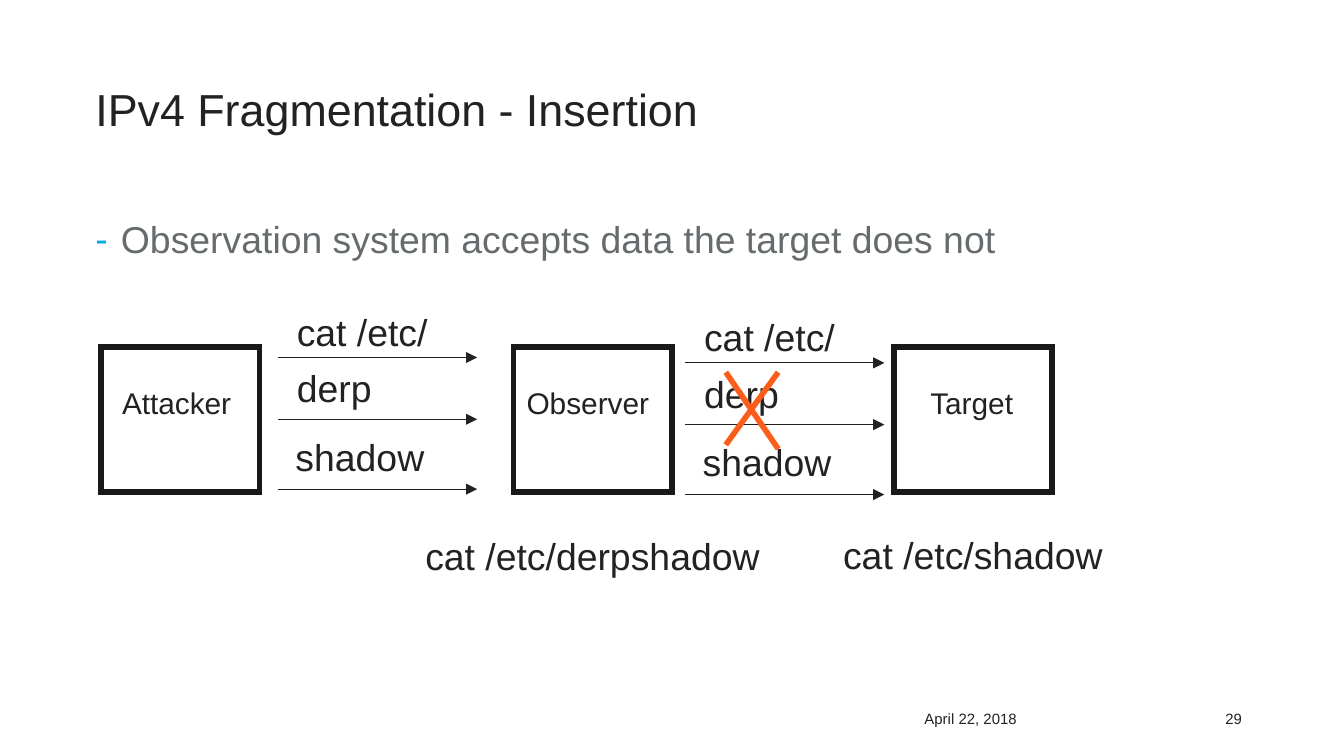
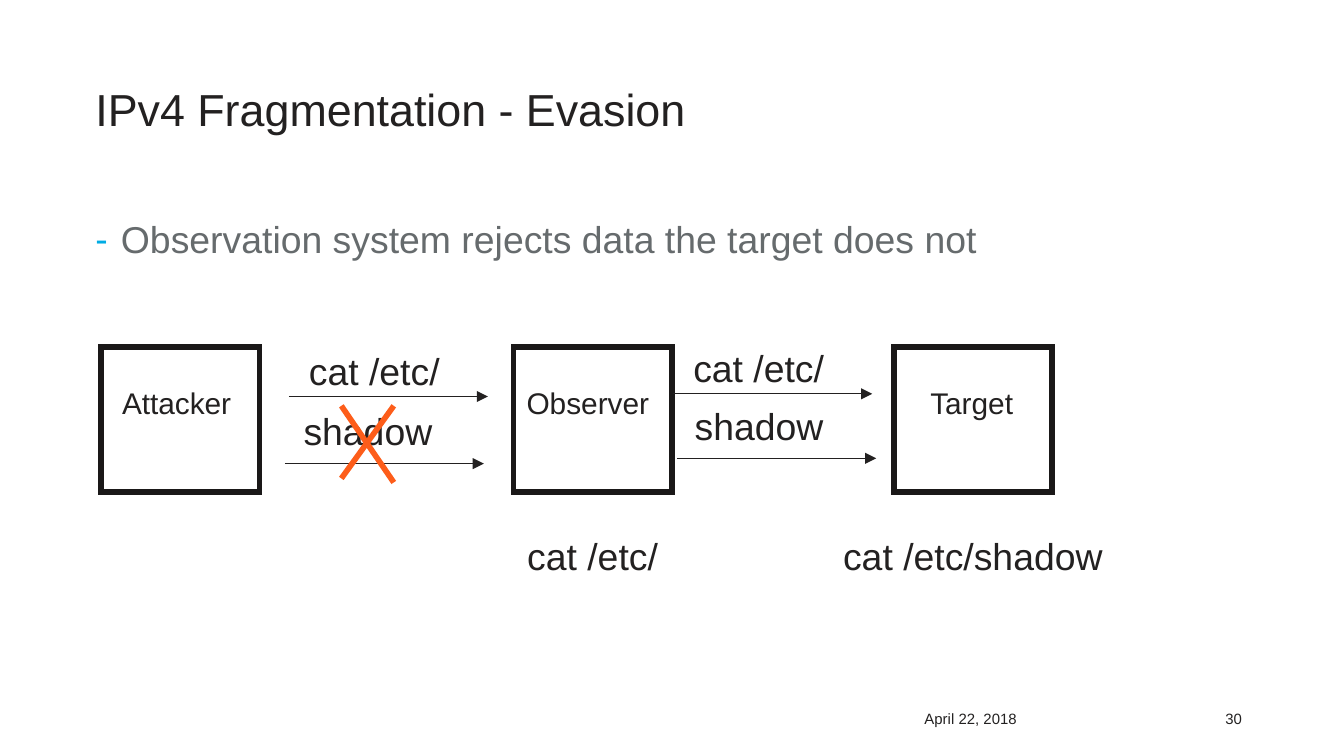
from lxml.etree import SubElement
from pptx import Presentation
from pptx.dml.color import RGBColor
from pptx.enum.shapes import MSO_CONNECTOR, MSO_SHAPE
from pptx.enum.text import MSO_ANCHOR, MSO_AUTO_SIZE, PP_ALIGN
from pptx.oxml.ns import qn
from pptx.util import Inches, Pt

# Shared style
FONT = "Arial"
INK = "232121"
BORDER = "1A1818"
GREY = "666B6D"
BLUE = "00ACE4"
ORANGE = "FD5D1A"
WHITE = "FFFFFF"

# Shared geometry, in inches
MARGIN, CONTENT_WIDTH = 0.71, 8.62
HOST_TOP, HOST_WIDTH, HOST_HEIGHT = 2.58, 1.18, 1.08
ARROW_LENGTH = 1.48
# name, box left, label offset, label width, alignment
HOSTS = [
    ("Attacker", 0.75, 0.06, 1.06, PP_ALIGN.LEFT),
    ("Observer", 3.82, 0, 1.18, PP_ALIGN.LEFT),
    ("Target", 6.65, 0.05, 1.06, PP_ALIGN.CENTER),
]

# Fragments in a lane: text, arrow offset (x, y), label offset from arrow (x, y)
THREE_FRAGMENTS = [
    ("cat /etc/", (0, 0), (0.04, -0.41)),
    ("derp", (0, 0.46), (0.04, -0.45)),
    ("shadow", (0, 0.98), (0.03, -0.46)),
]
SENT_PAIR = [
    ("cat /etc/", (0, 0), (0.05, -0.41)),
    ("shadow", (-0.03, 0.5), (0.04, -0.46)),
]
FORWARDED_PAIR = [
    ("cat /etc/", (0, 0), (0.05, -0.41)),
    ("shadow", (0.03, 0.48), (0.03, -0.46)),
]

SLIDES = [
    {
        "title": "IPv4 Fragmentation - Insertion",
        "point": "Observation system accepts data the target does not",
        "number": "29",
        "lanes": [(2.07, 2.66, THREE_FRAGMENTS), (5.1, 2.7, THREE_FRAGMENTS)],
        "results": [("cat /etc/derpshadow", 3.01, 3.92), ("cat /etc/shadow", 5.84, 3.91)],
        "cross": (5.4, 2.77),
    },
    {
        "title": "IPv4 Fragmentation - Evasion",
        "point": "Observation system rejects data the target does not",
        "number": "30",
        "lanes": [(2.15, 2.95, SENT_PAIR), (5.01, 2.93, FORWARDED_PAIR)],
        "results": [("cat /etc/", 3.01, 3.92), ("cat /etc/shadow", 5.84, 3.92)],
        "cross": (2.54, 3.02),
    },
]


def color(value):
    return RGBColor.from_string(value)


def place(shape, left, top, width, height):
    shape.left, shape.top = Inches(left), Inches(top)
    shape.width, shape.height = Inches(width), Inches(height)


def write(shape, text, size=20, fill=INK, align=PP_ALIGN.LEFT, inset=True,
          spacing=None, bullet=None, grow=False):
    """Fill a shape with one formatted paragraph."""
    frame = shape.text_frame
    frame.word_wrap = True
    frame.vertical_anchor = MSO_ANCHOR.TOP
    frame.auto_size = MSO_AUTO_SIZE.SHAPE_TO_FIT_TEXT if grow else MSO_AUTO_SIZE.NONE
    if not inset:
        frame.margin_left = frame.margin_right = 0
        frame.margin_top = frame.margin_bottom = 0
    paragraph = frame.paragraphs[0]
    paragraph.alignment = align
    if spacing:
        paragraph.line_spacing = spacing
    if bullet:
        add_bullet(paragraph, bullet)
    run = paragraph.add_run()
    run.text = text
    run.font.name = FONT
    run.font.size = Pt(size)
    run.font.color.rgb = color(fill)


def add_bullet(paragraph, bullet):
    properties = paragraph._p.get_or_add_pPr()
    properties.set("marL", str(Inches(0.19)))
    properties.set("indent", str(-Inches(0.19)))
    bullet_color = SubElement(properties, qn("a:buClr"))
    SubElement(bullet_color, qn("a:srgbClr"), val=BLUE)
    SubElement(properties, qn("a:buFont"), typeface=FONT)
    SubElement(properties, qn("a:buChar"), char=bullet)


def add_text(slide, text, left, top, width, height, **style):
    box = slide.shapes.add_textbox(0, 0, 0, 0)
    write(box, text, **style)
    place(box, left, top, width, height)


def add_line(slide, start, end, fill=INK, width=0.5, arrow=False):
    connector = slide.shapes.add_connector(
        MSO_CONNECTOR.STRAIGHT, *(Inches(value) for value in (*start, *end)))
    connector.line.color.rgb = color(fill)
    connector.line.width = Pt(width)
    if arrow:
        SubElement(connector.line._get_or_add_ln(), qn("a:tailEnd"), type="triangle")
    SubElement(connector._element.spPr, qn("a:effectLst"))


# Title, bullet point and footer
def add_frame(slide, title, point, number):
    heading = slide.shapes.title
    place(heading, MARGIN, 0.65, CONTENT_WIDTH, 0.82)
    write(heading, title, size=24, inset=False, spacing=0.9)
    add_text(slide, "April 22, 2018", 6.78, 5.23, 2.05, 0.2, size=8)
    add_text(slide, number, 8.83, 5.23, 0.51, 0.2, size=8, align=PP_ALIGN.RIGHT)
    add_text(slide, point, MARGIN, 1.65, CONTENT_WIDTH, 3.47, fill=GREY,
             inset=False, spacing=0.9, bullet="-")


# One machine: outlined box with its name
def add_host(slide, name, left, label_offset, label_width, align):
    box = slide.shapes.add_shape(MSO_SHAPE.RECTANGLE, 0, 0, 0, 0)
    place(box, left, HOST_TOP, HOST_WIDTH, HOST_HEIGHT)
    box.shadow.inherit = False
    box.fill.solid()
    box.fill.fore_color.rgb = color(WHITE)
    box.line.color.rgb = color(BORDER)
    box.line.width = Pt(3)
    SubElement(box.line._get_or_add_ln(), qn("a:miter"), lim="800000")
    add_text(slide, name, left + label_offset, HOST_TOP + 0.23, label_width, 0.37,
             size=16, align=align, grow=True)


# Fragments travelling between two machines
def add_lane(slide, left, top, fragments):
    for text, (arrow_x, arrow_y), (label_x, label_y) in fragments:
        x, y = left + arrow_x, top + arrow_y
        add_line(slide, (x, y), (x + ARROW_LENGTH, y), arrow=True)
        add_text(slide, text, x + label_x, y + label_y, 1.31, 0.44, grow=True)


# Cross over the rejected fragment
def add_cross(slide, left, top):
    right = left + 0.39
    add_line(slide, (left, top), (right, top + 0.57), fill=ORANGE, width=3)
    add_line(slide, (right, top), (left, top + 0.54), fill=ORANGE, width=3)


def add_fragmentation_slide(presentation, content):
    slide = presentation.slides.add_slide(presentation.slide_layouts[5])
    add_frame(slide, content["title"], content["point"], content["number"])
    for host in HOSTS:
        add_host(slide, *host)
    for lane in content["lanes"]:
        add_lane(slide, *lane)
    for text, left, top in content["results"]:
        add_text(slide, text, left, top, 2.8, 0.44, align=PP_ALIGN.CENTER, grow=True)
    add_cross(slide, *content["cross"])


def main():
    presentation = Presentation()
    # Widescreen, 16:9
    presentation.slide_width = Inches(10)
    presentation.slide_height = presentation.slide_width * 9 // 16
    for content in SLIDES:
        add_fragmentation_slide(presentation, content)
    presentation.save("out.pptx")


if __name__ == "__main__":
    main()
